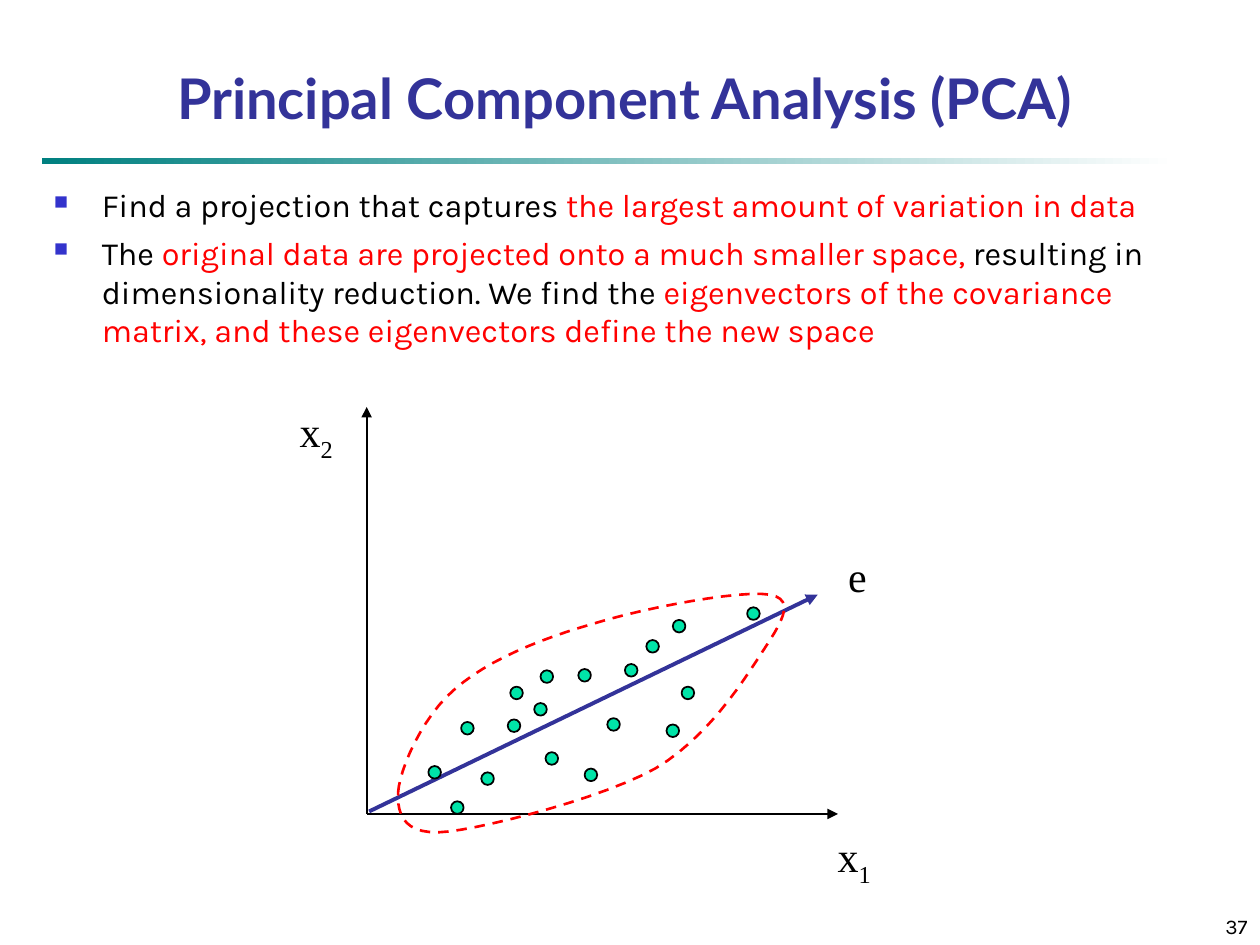
from lxml import etree
from pptx import Presentation
from pptx.dml.color import RGBColor
from pptx.enum.dml import MSO_LINE
from pptx.enum.shapes import MSO_CONNECTOR, MSO_SHAPE
from pptx.enum.text import MSO_ANCHOR, PP_ALIGN
from pptx.oxml.ns import qn
from pptx.util import Inches, Pt

BLACK = RGBColor(0x00, 0x00, 0x00)
WHITE = RGBColor(0xFF, 0xFF, 0xFF)
RED = RGBColor(0xFF, 0x00, 0x00)
NAVY = RGBColor(0x33, 0x33, 0x99)
TEAL = RGBColor(0x00, 0x80, 0x80)
MINT = RGBColor(0x00, 0xE4, 0xA8)
BULLET_BLUE = "3333CC"

STRAIGHT = MSO_CONNECTOR.STRAIGHT
RECTANGLE, OVAL = MSO_SHAPE.RECTANGLE, MSO_SHAPE.OVAL
DASH = MSO_LINE.DASH
TOP, MIDDLE, BOTTOM = MSO_ANCHOR.TOP, MSO_ANCHOR.MIDDLE, MSO_ANCHOR.BOTTOM
LEFT, CENTER, RIGHT = PP_ALIGN.LEFT, PP_ALIGN.CENTER, PP_ALIGN.RIGHT

TITLE_FONT = {"name": "Lato", "size": Pt(32), "bold": True}
BODY_FONT = {"name": "Karla", "size": Pt(18.5)}
NUMBER_FONT = {"name": "Karla", "size": Pt(12)}
LABEL_FONT = {"name": "Times New Roman", "size": Pt(24)}

BULLETS = [
    [("Find a projection that captures ", BLACK),
     ("the largest amount of variation in data", RED)],
    [("The ", BLACK),
     ("original data are projected onto a much smaller space, ", RED),
     ("resulting in dimensionality reduction. We find the ", BLACK),
     ("eigenvectors of the covariance matrix, and these eigenvectors "
      "define the new space", RED)],
]

DOT_SIZE = 0.1
DOTS = [
    (3.66, 5.73), (4.05, 5.45), (3.4, 6.08), (4.24, 5.58), (4.03, 5.71),
    (4.82, 5.7), (4.64, 6.1), (4.33, 5.97), (4.59, 5.31), (5.41, 5.45),
    (5.93, 4.82), (3.82, 6.13), (4.96, 5.27), (5.34, 4.92), (4.29, 5.32),
    (5.13, 5.08), (5.29, 5.75), (3.58, 6.36),
]

CLOUD_START = (3.16, 6.29)
CLOUD_CURVES = [
    ((3.17, 6.11), (3.35, 5.69), (3.61, 5.47)),
    ((3.87, 5.24), (4.29, 5.07), (4.71, 4.95)),
    ((5.13, 4.82), (5.89, 4.68), (6.11, 4.72)),
    ((6.33, 4.76), (6.19, 4.96), (6.04, 5.19)),
    ((5.89, 5.42), (5.61, 5.86), (5.2, 6.1)),
    ((4.79, 6.33), (3.9, 6.56), (3.56, 6.6)),
    ((3.22, 6.64), (3.15, 6.48), CLOUD_START),
]
CURVE_STEPS = 12


def set_values(target, values):
    for name, value in values.items():
        setattr(target, name, value)


def add_child(parent, tag, **attributes):
    return etree.SubElement(parent, qn(tag), attributes)


def add_text_box(page, bounds, anchor, wrap=True):
    box = page.shapes.add_textbox(*map(Inches, bounds))
    set_values(box.text_frame, {"word_wrap": wrap, "vertical_anchor": anchor})
    return box.text_frame


def add_span(para, text, font, color):
    span = para.add_run()
    span.text = text
    set_values(span.font, font)
    span.font.color.rgb = color
    return span


def add_line_of_text(page, bounds, text, font, color, anchor, align, wrap=True):
    para = add_text_box(page, bounds, anchor, wrap).paragraphs[0]
    para.alignment = align
    add_span(para, text, font, color)
    return para


def add_label(page, bounds, letter, subscript=""):
    para = add_line_of_text(page, bounds, letter, LABEL_FONT, BLACK,
                            MIDDLE, CENTER, wrap=False)
    if subscript:
        span = add_span(para, subscript, LABEL_FONT, BLACK)
        span.font._element.set("baseline", "-25000")


def add_bullets(page, bounds, bullets):
    frame = add_text_box(page, bounds, TOP)
    for index, spans in enumerate(bullets):
        para = frame.add_paragraph() if index else frame.paragraphs[0]
        set_values(para, {"alignment": LEFT, "line_spacing": 1.0,
                          "space_before": Pt(5)})
        properties = para._p.get_or_add_pPr()
        properties.set("marL", str(Inches(0.38)))
        properties.set("indent", str(Inches(-0.38)))
        add_child(add_child(properties, "a:buClr"), "a:srgbClr", val=BULLET_BLUE)
        add_child(properties, "a:buSzPct", val="60000")
        add_child(properties, "a:buChar", char="■")
        for text, color in spans:
            add_span(para, text, BODY_FONT, color)


def add_arrow(page, start, end, color, width):
    arrow = page.shapes.add_connector(STRAIGHT, *map(Inches, start + end))
    arrow.line.color.rgb = color
    arrow.line.width = Pt(width)
    add_child(arrow.line._get_or_add_ln(), "a:tailEnd", type="triangle")
    add_child(arrow._element.spPr, "a:effectLst")


def add_dot(page, left, top):
    dot = page.shapes.add_shape(
        OVAL, *map(Inches, (left, top, DOT_SIZE, DOT_SIZE)))
    dot.shadow.inherit = False
    dot.fill.solid()
    dot.fill.fore_color.rgb = MINT
    dot.line.color.rgb = BLACK
    dot.line.width = Pt(1)


def curve_points(start, curves, steps):
    points = []
    for first, second, end in curves:
        for step in range(1, steps + 1):
            t = step / steps
            u = 1 - t
            points.append(tuple(
                u**3 * a + 3 * u * u * t * b + 3 * u * t * t * c + t**3 * d
                for a, b, c, d in zip(start, first, second, end)))
        start = end
    return points


def add_cloud_outline(page):
    builder = page.shapes.build_freeform(*CLOUD_START, scale=Inches(1))
    builder = page.shapes.build_freeform(
        *map(Inches, CLOUD_START), scale=1.0)
    points = curve_points(CLOUD_START, CLOUD_CURVES, CURVE_STEPS)
    builder.add_line_segments(
        [tuple(map(Inches, point)) for point in points], close=True)
    outline = builder.convert_to_shape()
    outline.shadow.inherit = False
    outline.fill.background()
    outline.line.color.rgb = RED
    set_values(outline.line, {"width": Pt(1.5), "dash_style": DASH})


def add_title_rule(page, bounds):
    rule = page.shapes.add_shape(RECTANGLE, *map(Inches, bounds))
    rule.shadow.inherit = False
    rule.line.fill.background()
    rule.fill.gradient()
    rule.fill.gradient_angle = 0
    for stop, color, position in zip(rule.fill.gradient_stops,
                                     (TEAL, WHITE), (0, 1)):
        stop.color.rgb = color
        stop.position = position


def main():
    deck = Presentation()
    set_values(deck, {"slide_width": Inches(10), "slide_height": Inches(7.5)})
    page = deck.slides.add_slide(deck.slide_layouts[6])

    add_title_rule(page, (0.33, 1.25, 9, 0.05))
    add_line_of_text(page, (7.92, 7.08, 2.08, 0.42), "37", NUMBER_FONT,
                     BLACK, BOTTOM, RIGHT)
    add_label(page, (2.28, 3.17, 0.46, 0.56), "x", "2")
    add_arrow(page, (2.91, 6.46), (2.91, 3.23), BLACK, 1)
    add_arrow(page, (2.91, 6.46), (6.65, 6.46), BLACK, 1)
    add_arrow(page, (2.93, 6.44), (6.49, 4.72), NAVY, 2.25)
    add_cloud_outline(page)
    for left, top in DOTS:
        add_dot(page, left, top)
    add_label(page, (6.55, 6.54, 0.46, 0.56), "x", "1")
    add_label(page, (6.63, 4.32, 0.35, 0.5), "e")
    add_line_of_text(page, (0.17, 0.17, 9.58, 0.92),
                     "Principal Component Analysis (PCA)", TITLE_FONT, NAVY,
                     BOTTOM, CENTER)
    add_bullets(page, (0.33, 1.42, 9.17, 1.75), BULLETS)

    deck.save("out.pptx")


if __name__ == "__main__":
    main()
